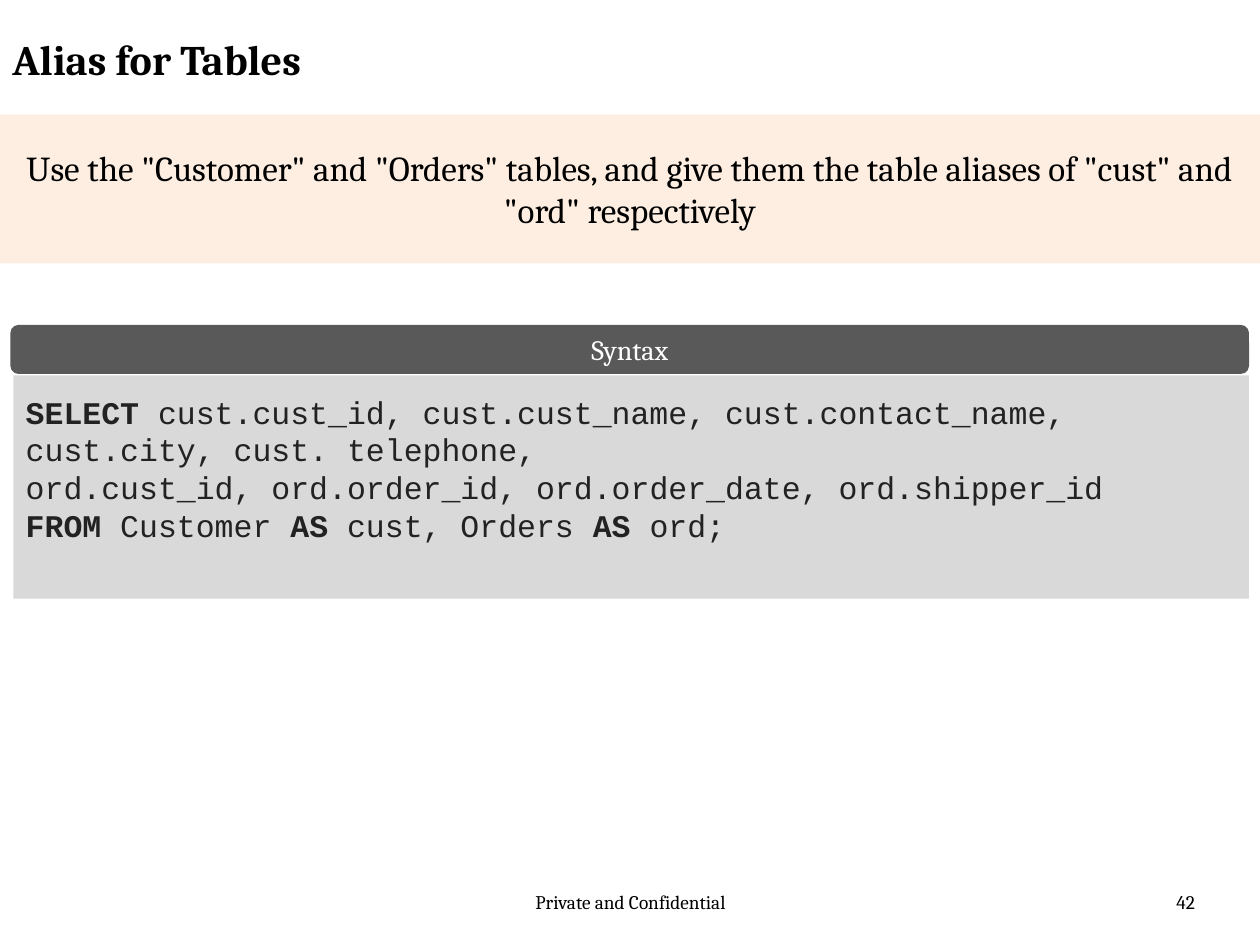
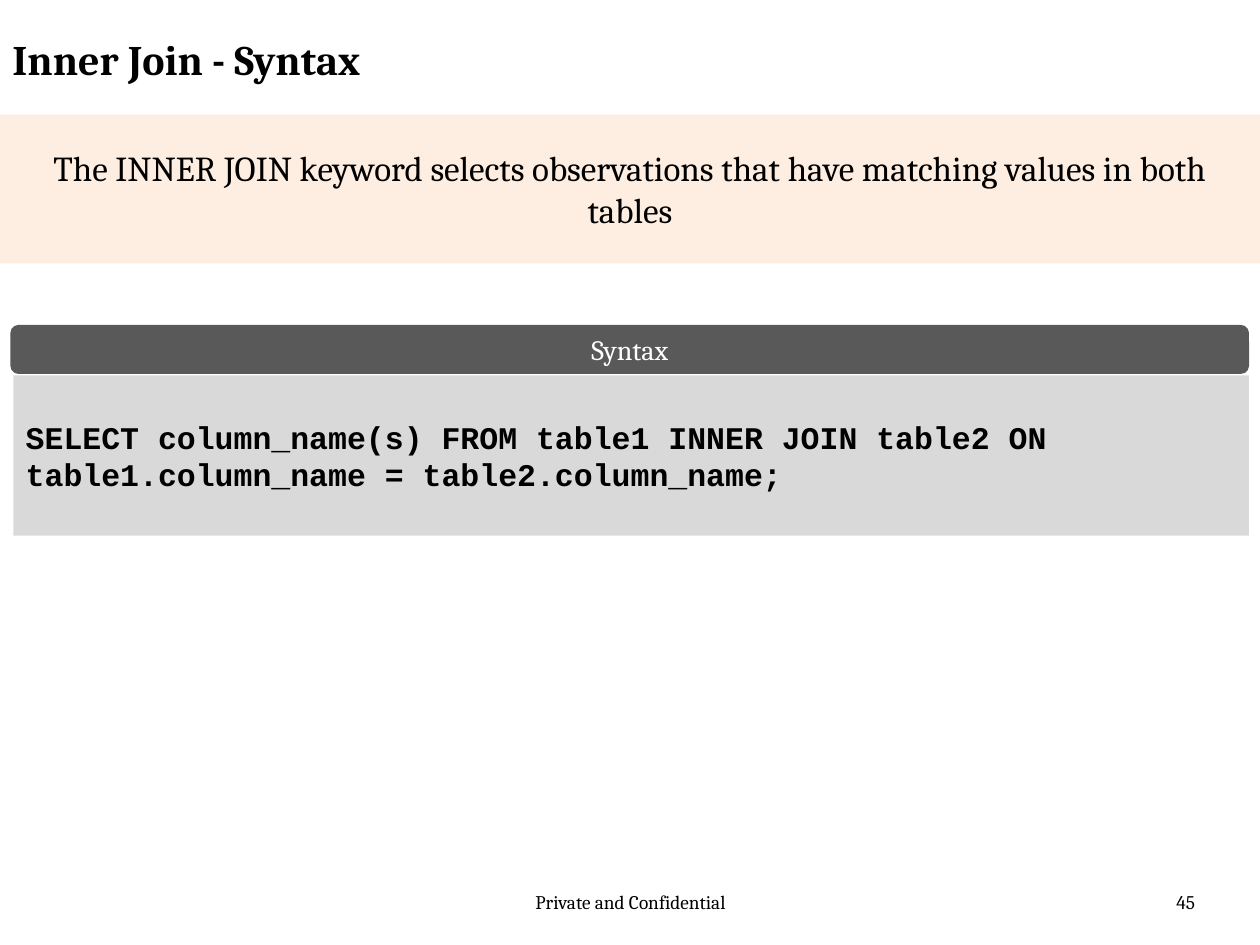
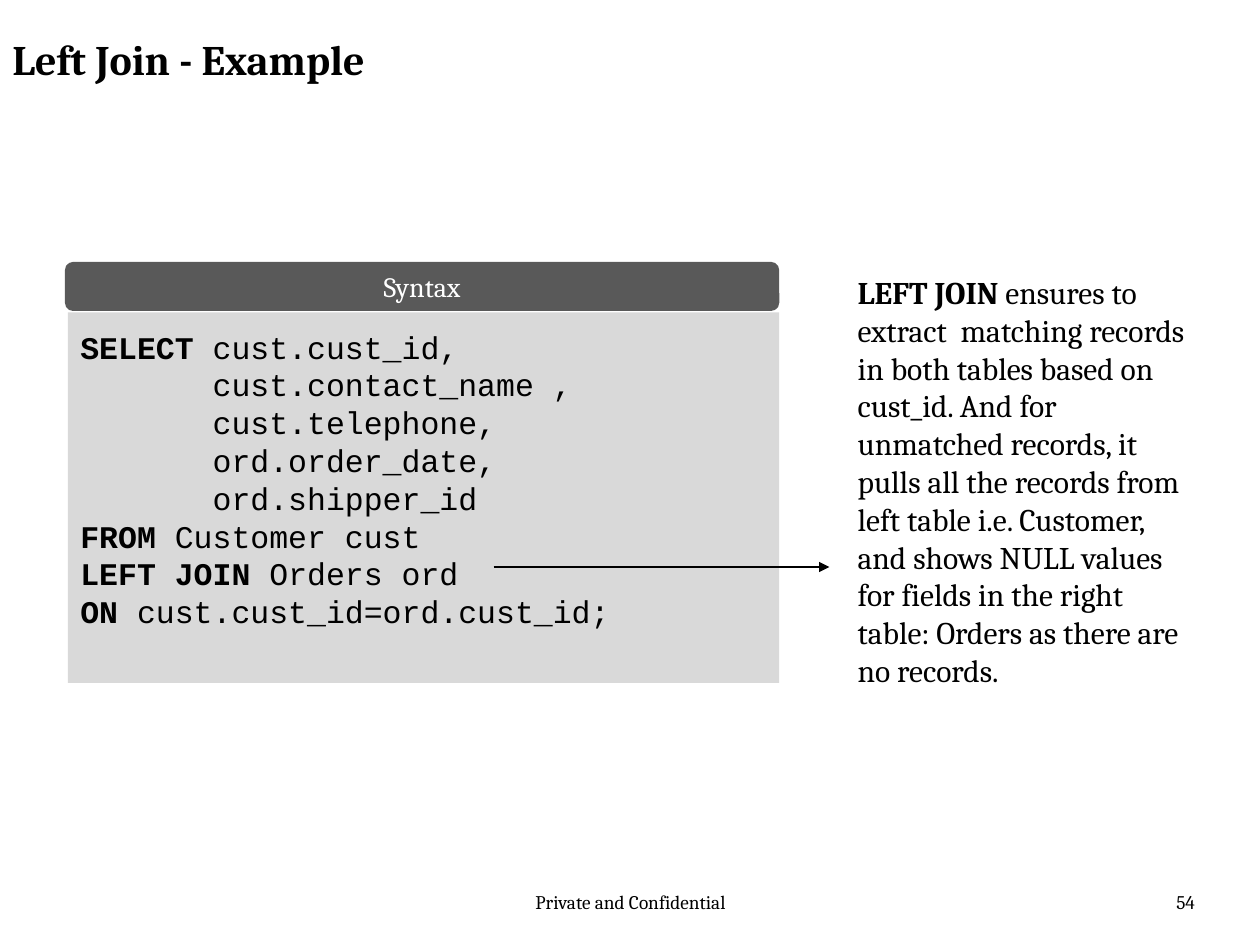
from lxml import etree
from pptx import Presentation
from pptx.dml.color import RGBColor
from pptx.enum.shapes import MSO_CONNECTOR as LINE, MSO_SHAPE as SHAPE
from pptx.enum.text import MSO_ANCHOR as ANCHOR, PP_ALIGN as ALIGN
from pptx.oxml.ns import qn
from pptx.util import Cm, Pt

BLACK = RGBColor(0x00, 0x00, 0x00)
WHITE = RGBColor(0xFF, 0xFF, 0xFF)
CODE_GRAY = RGBColor(0x22, 0x22, 0x22)
HEADER_GRAY = RGBColor(0x59, 0x59, 0x59)
PANEL_GRAY = RGBColor(0xD9, 0xD9, 0xD9)
PEACH = RGBColor(0xFD, 0xEA, 0xDA)

TITLE = {"name": "Cambria", "size": Pt(24)}
BANNER = {"name": "Cambria", "size": Pt(20)}
HEADER = {"name": "Cambria", "size": Pt(16)}
NOTE = {"name": "Cambria", "size": Pt(18)}
FOOTER = {"name": "Cambria", "size": Pt(11)}
CODE = {"name": "Courier New", "size": Pt(18)}

ALIAS_QUERY = [
    [("SELECT ", True),
     ("cust.cust_id, cust.cust_name, cust.contact_name, cust.city, cust. telephone,", False)],
    [("ord.cust_id, ord.order_id, ord.order_date, ord.shipper_id", False)],
    [("FROM", True), (" Customer ", False), ("AS ", True), ("cust, Orders ", False),
     ("AS ", True), ("ord;", False)],
]
INNER_JOIN_QUERY = [
    [("SELECT column_name(s) FROM table1 INNER JOIN table2 ON "
      "table1.column_name = table2.column_name;", True)],
]
LEFT_JOIN_QUERY = [
    [("SELECT ", True), ("cust.cust_id,", False)],
    [("       cust.contact_name ,", False)],
    [("       cust.telephone,", False)],
    [("       ord.order_date,", False)],
    [("       ord.shipper_id", False)],
    [("FROM", True), (" Customer cust", False)],
    [("LEFT JOIN", True), (" Orders ord", False)],
    [("ON ", True), ("cust.cust_id=ord.cust_id;", False)],
]
LEFT_JOIN_NOTE = [
    [("LEFT JOIN ", True),
     ("ensures to extract  matching records in both tables based on cust_id. "
      "And for unmatched records, it pulls all the records from left table i.e. Customer, "
      "and shows NULL values for fields in the right table: Orders as there are no records.",
      False)],
]


def write(box, lines, style, color=BLACK, align=ALIGN.LEFT, anchor=ANCHOR.TOP):
    frame = box.text_frame
    frame.word_wrap = True
    frame.vertical_anchor = anchor
    for index, line in enumerate(lines):
        para = frame.add_paragraph() if index else frame.paragraphs[0]
        para.alignment = align
        for text, bold in line:
            span = para.add_run()
            span.text = text
            for key, value in style.items():
                setattr(span.font, key, value)
            span.font.bold = bold
            span.font.color.rgb = color


def add_text(page, place, lines, style, align=ALIGN.LEFT):
    box = page.shapes.add_textbox(*map(Cm, place))
    write(box, lines, style, align=align)


def add_block(page, kind, place, fill):
    block = page.shapes.add_shape(kind, *map(Cm, place))
    block.shadow.inherit = False
    block.fill.solid()
    block.fill.fore_color.rgb = fill
    block.line.fill.background()
    return block


def add_banner(page, text):
    banner = add_block(page, SHAPE.RECTANGLE, (0, 2.31, 25.4, 3), PEACH)
    color = banner.fill._xPr.find(qn("a:solidFill"))[0]
    etree.SubElement(color, qn("a:alpha"), val="79000")
    write(banner, [[(text, False)]], BANNER, align=ALIGN.CENTER, anchor=ANCHOR.MIDDLE)


def add_syntax(page, left, top, width, height, query, color=BLACK, space_below=0.13):
    header = add_block(page, SHAPE.ROUNDED_RECTANGLE, (left, top, width, 0.99), HEADER_GRAY)
    write(header, [[("Syntax", False)]], HEADER, WHITE, ALIGN.CENTER, ANCHOR.MIDDLE)
    panel = add_block(page, SHAPE.RECTANGLE,
                      (left + 0.06, top + 1.02, width - 0.06, height), PANEL_GRAY)
    panel.text_frame.margin_bottom = Cm(space_below)
    write(panel, query, CODE, color, anchor=ANCHOR.MIDDLE)


def add_arrow(page, start_x, end_x, y):
    arrow = page.shapes.add_connector(LINE.STRAIGHT, Cm(start_x), Cm(y), Cm(end_x), Cm(y))
    arrow.line.color.rgb = BLACK
    arrow.line.width = Pt(0.75)
    etree.SubElement(arrow.line._get_or_add_ln(), qn("a:tailEnd"), type="triangle")
    etree.SubElement(arrow._element.spPr, qn("a:effectLst"))


def add_page(deck, title, number):
    page = deck.slides.add_slide(deck.slide_layouts[6])
    add_text(page, (8.69, 17.83, 8.05, 1.02),
             [[("Private and Confidential", False)]], FOOTER, ALIGN.CENTER)
    add_text(page, (18.42, 17.83, 5.92, 1.02), [[(str(number), False)]], FOOTER, ALIGN.RIGHT)
    add_text(page, (0, 0.56, 19.28, 1.57), [[(title, True)]], TITLE)
    return page


def main():
    deck = Presentation()
    deck.slide_width, deck.slide_height = Cm(25.4), Cm(19.05)

    page = add_page(deck, "Alias for Tables", 42)
    add_banner(page, 'Use the "Customer" and "Orders" tables, and give them '
                     'the table aliases of "cust" and "ord" respectively')
    add_syntax(page, 0.21, 6.55, 24.97, 4.5, ALIAS_QUERY, CODE_GRAY, space_below=0.89)

    page = add_page(deck, "Inner Join - Syntax", 45)
    add_banner(page, "The INNER JOIN keyword selects observations "
                     "that have matching values in both tables")
    add_syntax(page, 0.21, 6.55, 24.97, 3.23, INNER_JOIN_QUERY)

    page = add_page(deck, "Left Join - Example", 54)
    add_syntax(page, 1.31, 5.28, 14.4, 7.47, LEFT_JOIN_QUERY, space_below=0.89)
    add_text(page, (17.04, 5.38, 7.37, 8.71), LEFT_JOIN_NOTE, NOTE)
    add_arrow(page, 9.95, 16.72, 11.43)

    deck.save("out.pptx")


if __name__ == "__main__":
    main()
